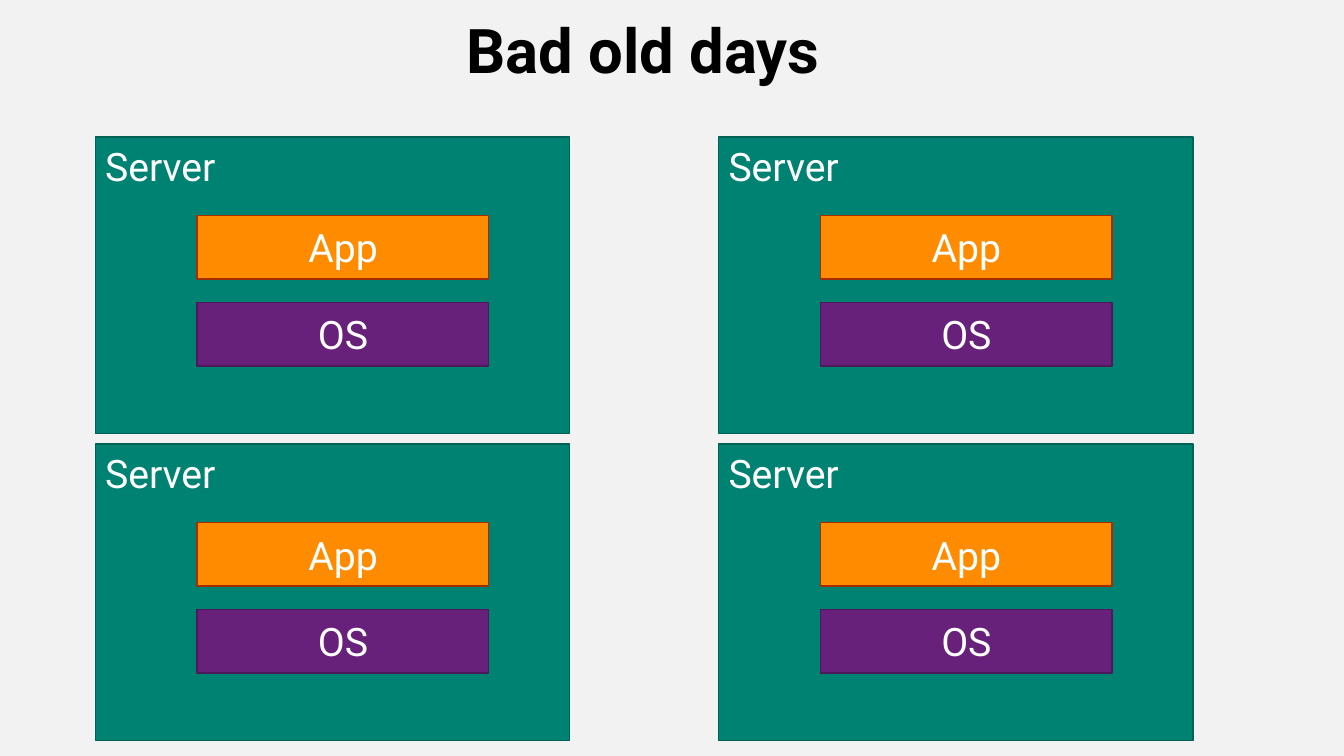
"""Build the slide of four servers, each running one app on its own OS."""
from itertools import product

from pptx import Presentation
from pptx.dml.color import RGBColor
from pptx.enum.shapes import MSO_SHAPE as SHAPE
from pptx.enum.text import MSO_ANCHOR as ANCHOR, MSO_AUTO_SIZE as FIT, PP_ALIGN as ALIGN
from pptx.util import Cm, Pt

COLORS = {
    "background": "F2F2F2", "title": "000000", "label": "FFFFFF",
    "server": "008272", "server_line": "006256",
    "os": "68217A", "os_line": "4E195C",
    "app": "FF8C00", "app_line": "A52D00",
}


def rgb(name):
    return RGBColor.from_string(COLORS[name])


class Deck:
    font = "Roboto"
    title_format = {"size": Pt(44), "bold": True}
    label_format = {"size": Pt(28), "bold": False}

    def __init__(self, prs):
        self.s = prs.slides.add_slide(prs.slide_layouts[6])
        fill = self.s.background.fill
        fill.solid()
        fill.fore_color.rgb = rgb("background")

    def set_text(self, sp, text, color, formats, align, anchor):
        tf = sp.text_frame
        tf.word_wrap = True
        tf.vertical_anchor = anchor
        p = tf.paragraphs[0]
        p.alignment = align
        r = p.add_run()
        r.text = text
        for name, value in {"name": self.font, **formats}.items():
            setattr(r.font, name, value)
        r.font.color.rgb = rgb(color)

    def title(self, text, x, y, w, h):
        sp = self.s.shapes.add_textbox(Cm(x), Cm(y), Cm(w), Cm(h))
        self.set_text(sp, text, "title", self.title_format, ALIGN.CENTER, ANCHOR.TOP)
        sp.text_frame.auto_size = FIT.SHAPE_TO_FIT_TEXT

    def box(self, text, kind, x, y, w, h, align=ALIGN.CENTER, anchor=ANCHOR.MIDDLE):
        sp = self.s.shapes.add_shape(SHAPE.RECTANGLE, Cm(x), Cm(y), Cm(w), Cm(h))
        sp.shadow.inherit = False
        sp.fill.solid()
        sp.fill.fore_color.rgb = rgb(kind)
        sp.line.color.rgb = rgb(f"{kind}_line")
        sp.line.width = Pt(1)
        self.set_text(sp, text, "label", self.label_format, align, anchor)

    def server(self, x, y):
        self.box("Server", "server", x, y, 11.96, 7.47, ALIGN.LEFT, ANCHOR.TOP)
        for text, kind, dy in (("OS", "os", 4.17), ("App", "app", 1.98)):
            self.box(text, kind, x + 2.57, y + dy, 7.35, 1.6)


def main():
    prs = Presentation()
    prs.slide_width, prs.slide_height = Cm(33.87), Cm(19.05)
    deck = Deck(prs)
    deck.title("Bad old days", 0, 0.18, 32.41, 2.13)
    for row, col in product(range(2), repeat=2):
        deck.server(2.4 + col * 15.71, 3.45 + row * 7.74)
    prs.save("out.pptx")


if __name__ == "__main__":
    main()
